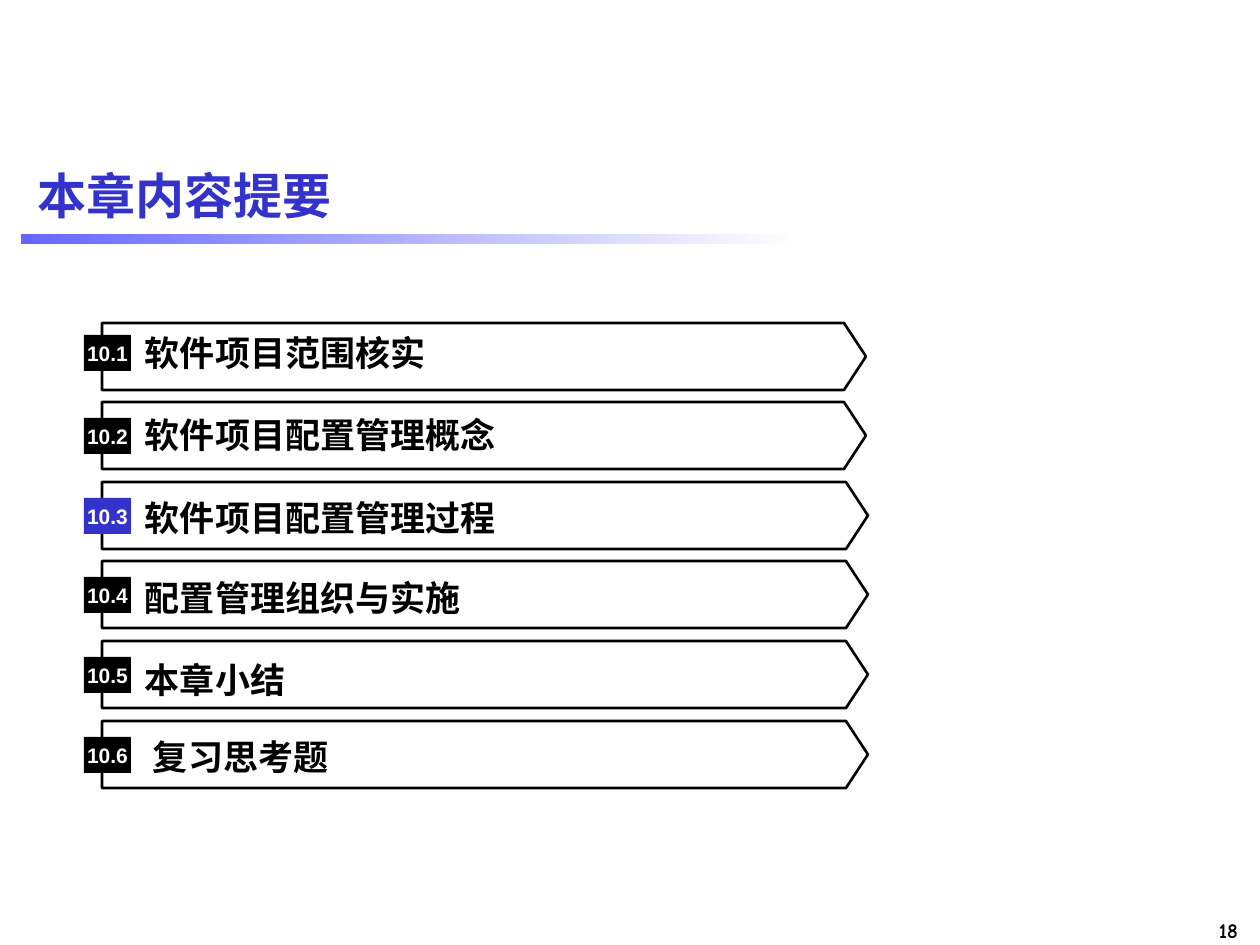
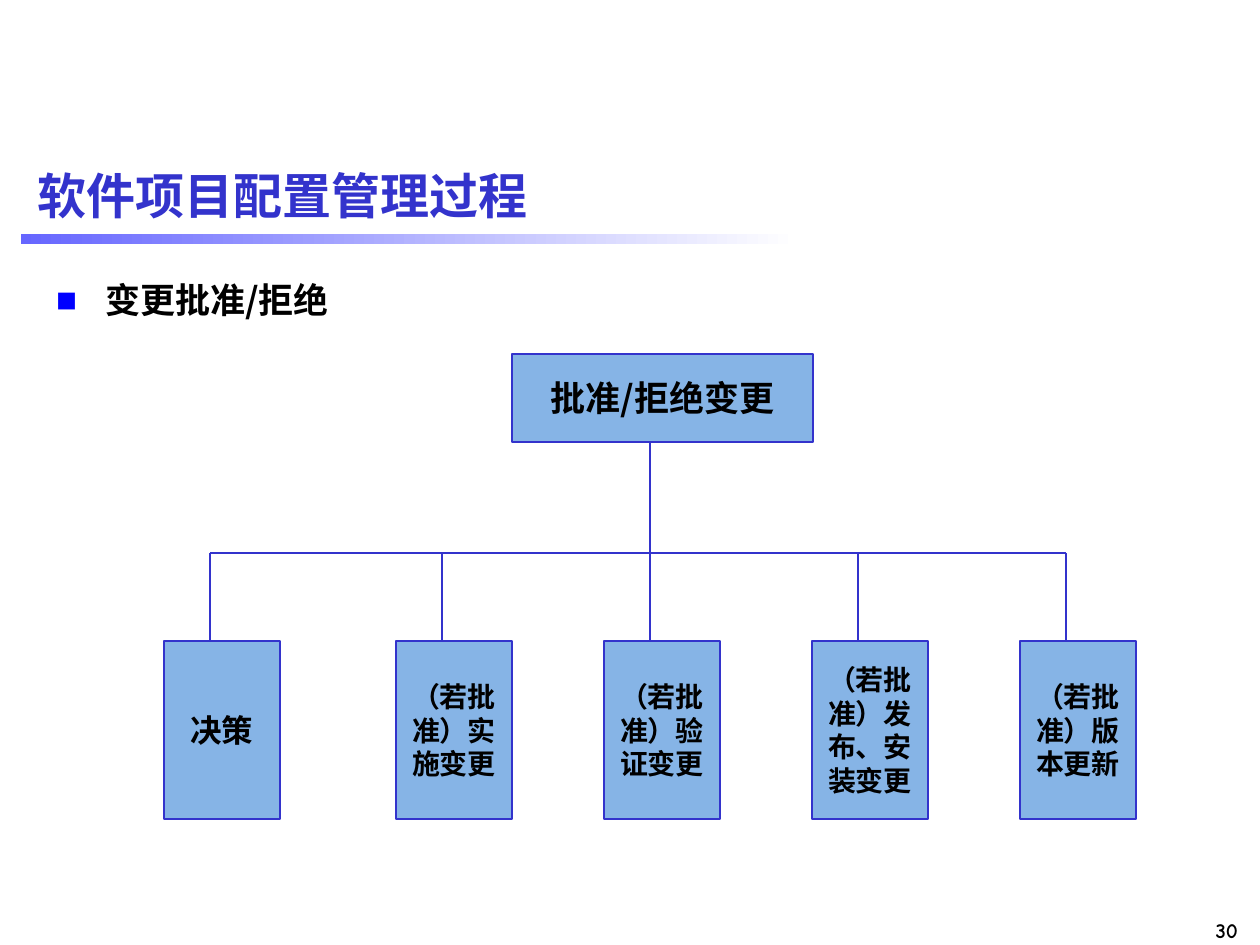
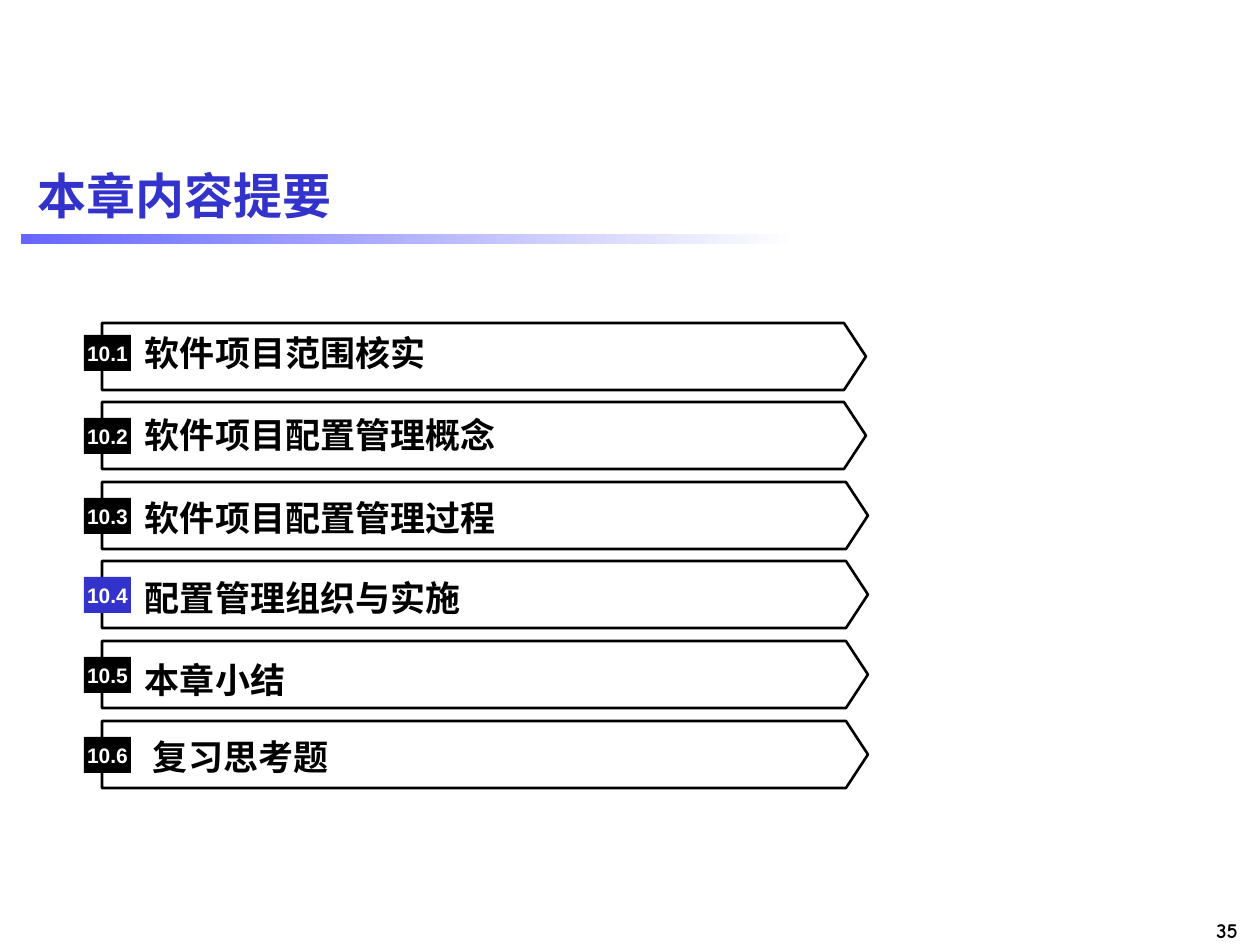
import pptx
import pptx.util
import pptx.dml.color
import pptx.enum.shapes
import pptx.enum.text
import pptx.oxml.ns
import lxml.etree

INK = {
    "title": "3333CC",
    "band": "6666FF",
    "paper": "FFFFFF",
    "text": "000000",
    "node": "86B4E6",
    "mark": "0000FF",
}
SCALE = 914400 / 126
HAN = "Noto Sans CJK SC"
ALIGN = pptx.enum.text.PP_ALIGN
ANCHOR = pptx.enum.text.MSO_ANCHOR
RECT = pptx.enum.shapes.MSO_SHAPE.RECTANGLE
OUTLINE = [
    ("软件项目范围核实", 12, 8, 8, 866),
    ("软件项目配置管理概念", 16, 11, 8, 866),
    ("软件项目配置管理过程", 16, 14, 8, 868),
    ("配置管理组织与实施", 16, 15, 8, 868),
    ("本章小结", 16, 17, 8, 868),
    ("复习思考题", 16, 14, 16, 868),
]
STEPS = [
    ("决策", 164, 18),
    ("（若批准）实施变更", 396, 16),
    ("（若批准）验证变更", 604, 16),
    ("（若批准）发布、安装变更", 812, 16),
    ("（若批准）版本更新", 1020, 16),
]


def emu(px):
    return pptx.util.Emu(round(px * SCALE))


def rgb(name):
    return pptx.dml.color.RGBColor.from_string(INK[name])


def child(node, tag, **attrs):
    return lxml.etree.SubElement(node, pptx.oxml.ns.qn(tag), attrs)


class Deck:
    def __init__(self):
        self.prs = pptx.Presentation()
        self.prs.slide_width = emu(1260)
        self.prs.slide_height = emu(945)
        self.slide = None

    def page(self, title, number):
        self.slide = self.prs.slides.add_slide(self.prs.slide_layouts[6])
        self.label(number, 1135, 912, 116, 38, size=12, font="Comic Neue",
                   align=ALIGN.RIGHT, anchor=ANCHOR.TOP, wrap=False)
        band = self.rect(21, 234, 777, 10, "band")
        band.fill.gradient()
        band.fill.gradient_angle = 0
        for stop, name in zip(band.fill.gradient_stops, ("band", "paper")):
            stop.color.rgb = rgb(name)
        self.label(title, 25, 145, 1211, 100, size=28, font="Arial", ink="title")

    def letter(self, shape, text, size=20, font=HAN, ink="text", align=ALIGN.LEFT,
               anchor=ANCHOR.MIDDLE, pad=(13, 6, 13, 6), wrap=True):
        frame = shape.text_frame
        frame.text = text
        frame.word_wrap = wrap
        frame.vertical_anchor = anchor
        (frame.margin_left, frame.margin_top,
         frame.margin_right, frame.margin_bottom) = map(emu, pad)
        para = frame.paragraphs[0]
        para.alignment = align
        for run in para.runs:
            run.font.size = pptx.util.Pt(size)
            run.font.bold = True
            run.font.color.rgb = rgb(ink)
            run.font.name = font
            child(run.font._element, "a:ea", typeface=HAN)

    def label(self, text, x, y, wide, high, **style):
        box = self.slide.shapes.add_textbox(*map(emu, (x, y, wide, high)))
        self.letter(box, text, **style)
        return box

    def rect(self, x, y, wide, high, fill, edge=None):
        shape = self.slide.shapes.add_shape(RECT, *map(emu, (x, y, wide, high)))
        shape.shadow.inherit = False
        shape.fill.solid()
        shape.fill.fore_color.rgb = rgb(fill)
        if edge:
            shape.line.color.rgb = rgb(edge)
            shape.line.width = pptx.util.Pt(0.75)
        else:
            shape.line.fill.background()
        return shape

    def node(self, text, x, y, wide, high, size, font="Times New Roman"):
        shape = self.rect(x, y, wide, high, "node", "title")
        self.letter(shape, text, size=size, font=font, align=ALIGN.CENTER)

    def wire(self, x, y, end_x, end_y):
        line = self.slide.shapes.add_connector(
            pptx.enum.shapes.MSO_CONNECTOR.STRAIGHT,
            *map(emu, (x, y, end_x, end_y)))
        line.line.color.rgb = rgb("title")
        line.line.width = pptx.util.Pt(0.75)
        child(line._element.spPr, "a:effectLst")

    def arrow(self, x, y, tip, high):
        neck = tip - 22
        points = [(neck, y), (tip, y + high / 2), (neck, y + high), (x, y + high)]
        build = self.slide.shapes.build_freeform(emu(x), emu(y))
        build.add_line_segments([(emu(a), emu(b)) for a, b in points], close=True)
        shape = build.convert_to_shape()
        shape.shadow.inherit = False
        shape.fill.background()
        shape.line.color.rgb = rgb("text")
        shape.line.width = pptx.util.Pt(1.5)

    def bullet(self, text, x, y, wide, high):
        box = self.label(text, x, y, wide, high, anchor=ANCHOR.TOP)
        props = box.text_frame.paragraphs[0]._p.get_or_add_pPr()
        props.set("marL", str(emu(48)))
        props.set("indent", str(emu(-48)))
        child(child(props, "a:buClr"), "a:srgbClr", val=INK["mark"])
        child(props, "a:buSzPct", val="60000")
        child(props, "a:buFont", typeface=HAN)
        child(props, "a:buChar", char="■")

    def outline(self, number, active):
        self.page("本章内容提要", number)
        for i, (text, drop, shift, inset, tip) in enumerate(OUTLINE):
            top = 323 + i * 398 // 5
            self.arrow(102, top, tip, 67)
            self.label(text, 137, top + shift, 680, 42, pad=(inset, 0, 0, 0))
            badge = self.rect(84, top + drop, 47, 36,
                              "title" if i + 1 == active else "text")
            self.letter(badge, f"10.{i + 1}", size=12, font="Arial", ink="paper",
                        align=ALIGN.CENTER, pad=(0, 0, 0, 0))

    def tree(self, number):
        self.page("软件项目配置管理过程", number)
        self.bullet("变更批准/拒绝", 44, 273, 1191, 670)
        self.node("批准/拒绝变更", 512, 354, 301, 88, 20, HAN)
        root, bus, top = 442, 553, 641
        stems = [x + 46 for _, x, _ in STEPS]
        self.wire(stems[0], bus, stems[-1], bus)
        for (text, x, size), stem in zip(STEPS, stems):
            self.node(text, x, top, 116, 178, size)
            self.wire(stem, root if stem == stems[2] else bus, stem, top)


def main():
    deck = Deck()
    deck.outline("18", 3)
    deck.tree("30")
    deck.outline("35", 4)
    deck.prs.save("out.pptx")


if __name__ == "__main__":
    main()
